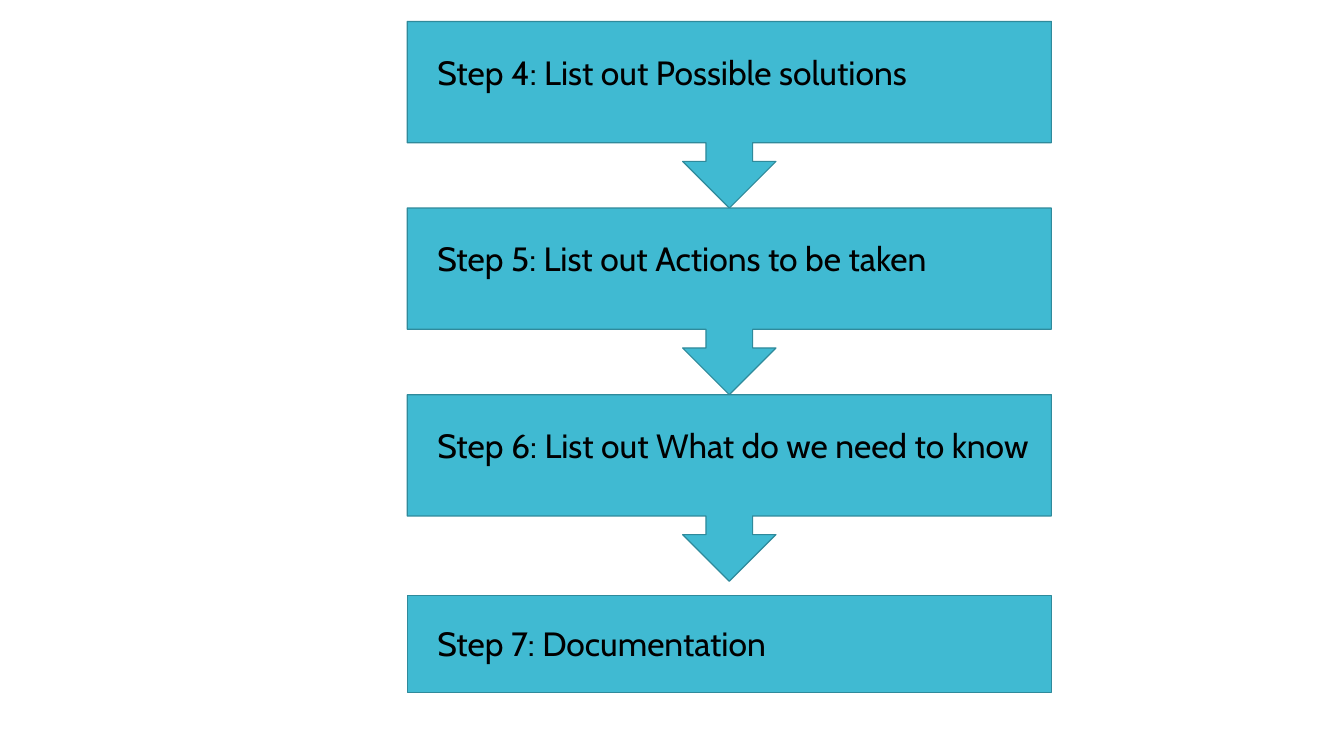
from dataclasses import dataclass

from pptx import Presentation
from pptx.dml.color import RGBColor
from pptx.enum.shapes import MSO_SHAPE
from pptx.enum.text import MSO_AUTO_SIZE
from pptx.slide import Slide
from pptx.util import Pt

BOX_LEFT, BOX_WIDTH = 290.9, 460.1
FIRST_TOP, CALLOUT_HEIGHT = 15.3, 133.3
LAST_TOP, LAST_HEIGHT = 425.5, 69.1
TEXT_LEFT, TEXT_HEIGHT = 305.3, 36


@dataclass
class Step:
    text: str
    text_top: float
    text_width: float


STEPS = [
    Step("Step 4: List out Possible solutions", 33.5, 398.9),
    Step("Step 5: List out Actions to be taken", 166.5, 419),
    Step("Step 6: List out What do we need to know", 299.8, 446.4),
    Step("Step 7: Documentation", 441.4, 446.4),
]


def color(value: str) -> RGBColor:
    return RGBColor.from_string(value)


def add_box(s: Slide, kind: MSO_SHAPE, top: float, height: float) -> None:
    sp = s.shapes.add_shape(kind, Pt(BOX_LEFT), Pt(top), Pt(BOX_WIDTH), Pt(height))
    sp.shadow.inherit = False
    sp.fill.solid()
    sp.fill.fore_color.rgb = color("40BAD2")
    sp.line.color.rgb = color("2F8A9B")
    sp.line.width = Pt(0.85)


def add_text(s: Slide, text: str, *, left: float, top: float, width: float,
             height: float, size: float = 24, font: str = "Cabin",
             fill: str = "000000") -> None:
    tf = s.shapes.add_textbox(Pt(left), Pt(top), Pt(width), Pt(height)).text_frame
    tf.word_wrap = True
    tf.auto_size = MSO_AUTO_SIZE.SHAPE_TO_FIT_TEXT
    r = tf.paragraphs[0].add_run()
    r.text = text
    r.font.name = font
    r.font.size = Pt(size)
    r.font.color.rgb = color(fill)


def main() -> None:
    prs = Presentation()
    prs.slide_width, prs.slide_height = Pt(960), Pt(540)
    s = prs.slides.add_slide(prs.slide_layouts[6])
    for i, step in enumerate(STEPS):
        if i < len(STEPS) - 1:
            add_box(s, MSO_SHAPE.DOWN_ARROW_CALLOUT,
                    FIRST_TOP + i * CALLOUT_HEIGHT, CALLOUT_HEIGHT)
        else:
            add_box(s, MSO_SHAPE.RECTANGLE, LAST_TOP, LAST_HEIGHT)
        add_text(s, step.text, left=TEXT_LEFT, top=step.text_top,
                 width=step.text_width, height=TEXT_HEIGHT)
    prs.save("out.pptx")


if __name__ == "__main__":
    main()
